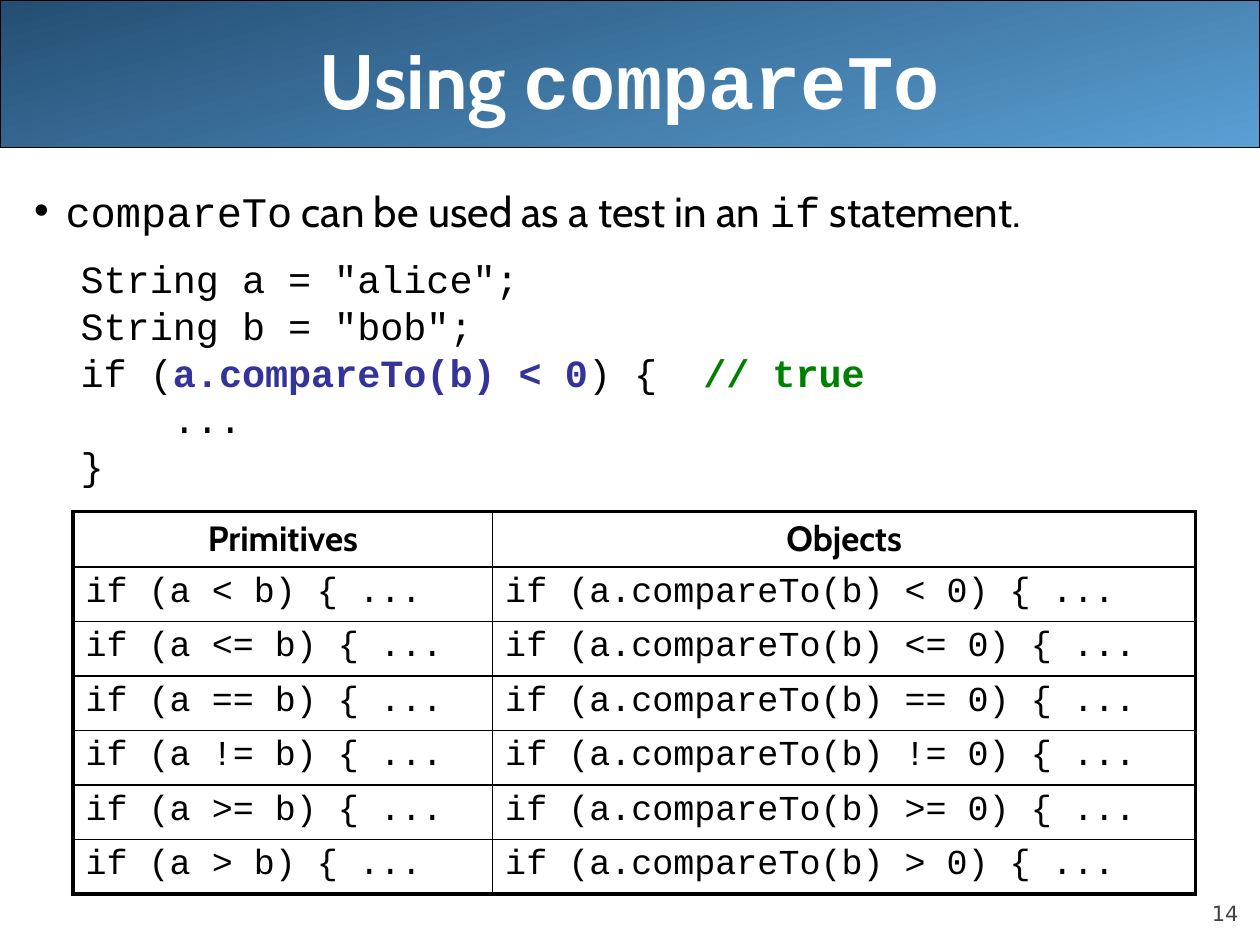
from lxml import etree
from pptx import Presentation
from pptx.dml.color import RGBColor
from pptx.enum import shapes, text
from pptx.oxml.ns import qn
from pptx.util import Inches, Pt

COLORS = {"ink": "000000", "white": "FFFFFF", "dark": "244E72", "light": "5A9FD4",
          "call": "333399", "note": "008000", "gray": "424242"}
SANS, MONO = "Cabin", "Courier New"


def write(para, words, font=MONO, size=22, color="ink", bold=False):
    run = para.add_run()
    run.text = words
    run.font.name, run.font.size, run.font.bold = font, Pt(size), bold
    run.font.color.rgb = RGBColor.from_string(COLORS[color])


def edge(cell, side, width):
    line = etree.SubElement(cell._tc.get_or_add_tcPr(), qn("a:" + side), w=str(Pt(width)))
    fill = etree.SubElement(line, qn("a:solidFill"))
    etree.SubElement(fill, qn("a:srgbClr"), val=COLORS["ink"])


prs = Presentation()
prs.slide_width, prs.slide_height = Inches(10), Inches(7.5)
slide = prs.slides.add_slide(prs.slide_layouts[1])
title, body = slide.placeholders

# Banner behind the title
banner = slide.shapes.add_shape(shapes.MSO_SHAPE.ROUNDED_RECTANGLE, 0, 0, Inches(10), Inches(1.17))
banner.adjustments[0] = 0
banner.shadow.inherit = False
banner.fill.gradient()
banner.fill.gradient_angle = 285
for stop, name in zip(banner.fill.gradient_stops, ("dark", "light")):
    stop.color.rgb = RGBColor.from_string(COLORS[name])
banner.line.color.rgb = RGBColor.from_string(COLORS["ink"])
banner.line.width = Pt(0.75)
slide.shapes._spTree.insert(2, banner._element)

# Title
title.left, title.top, title.width, title.height = Inches(0.5), 0, Inches(9), Inches(1.25)
title.text_frame.auto_size = text.MSO_AUTO_SIZE.NONE
title.text_frame.vertical_anchor = text.MSO_ANCHOR.MIDDLE
para = title.text_frame.paragraphs[0]
para.alignment = text.PP_ALIGN.CENTER
for words, font in (("Using ", SANS), ("compareTo", MONO)):
    write(para, words, font=font, size=44, color="white", bold=True)

# Bullet line
body.left, body.top, body.width, body.height = map(Inches, (0.17, 1.42, 9.83, 5.67))
frame = body.text_frame
frame.auto_size = text.MSO_AUTO_SIZE.NONE
para = frame.paragraphs[0]
props = para._p.get_or_add_pPr()
props.set("marL", str(Inches(0.25)))
props.set("indent", str(Inches(-0.25)))
etree.SubElement(props, qn("a:buChar"), char="•")
para.space_before = Pt(0)
for words, font in (("compareTo", MONO), (" can be used as a test in an ", SANS),
                    ("if", MONO), (" statement.", SANS)):
    write(para, words, font=font, size=24)

# Code lines
code = [
    [("String a = \"alice\";", "ink")],
    [("String b = \"bob\";", "ink")],
    [("if (", "ink"), ("a.compareTo(b) < 0", "call"), (") {  ", "ink"), ("// true", "note")],
    [("    ...", "ink")],
    [("}", "ink")],
]
for row, parts in enumerate(code):
    para = frame.add_paragraph()
    para.level = 1
    props = para._p.get_or_add_pPr()
    props.set("marL", str(Inches(0.37)))
    props.set("indent", "0")
    etree.SubElement(props, qn("a:buNone"))
    para.line_spacing = 0.8
    para.space_before = Pt(5.7 if row else 16)
    for words, color in parts:
        write(para, words, color=color, bold=color != "ink")

# Comparison table
signs = ["<", "<=", "==", "!=", ">=", ">"]
rows = [("Primitives", "Objects")]
rows += [(f"if (a {s} b) {{ ...", f"if (a.compareTo(b) {s} 0) {{ ...") for s in signs]
last = len(rows) - 1
grid = slide.shapes.add_table(len(rows), 2, Inches(0.58), Inches(4.06),
                              Inches(8.92), Inches(3.03)).table
grid.first_row = grid.horz_banding = False
for col, width in zip(grid.columns, (3.33, 5.58)):
    col.width = Inches(width)
for r, row in enumerate(rows):
    for c, words in enumerate(row):
        cell = grid.cell(r, c)
        para = cell.text_frame.paragraphs[0]
        head = r == 0
        para.alignment = text.PP_ALIGN.CENTER if head else text.PP_ALIGN.LEFT
        write(para, words, font=SANS if head else MONO, size=20, bold=head)
        # Thick outer frame, thin inner lines
        for side, outer in (("lnL", c == 0), ("lnR", c == 1), ("lnT", head), ("lnB", r == last)):
            edge(cell, side, 2.25 if outer else 1)
        cell.fill.background()

# Slide number
box = slide.shapes.add_textbox(Inches(9), Inches(6.95), Inches(0.83), Inches(0.4))
frame = box.text_frame
frame.word_wrap = True
frame.margin_left = frame.margin_right = frame.margin_top = frame.margin_bottom = 0
frame.vertical_anchor = text.MSO_ANCHOR.BOTTOM
para = frame.paragraphs[0]
para.alignment = text.PP_ALIGN.RIGHT
write(para, "14", font="DejaVu Sans", size=12, color="gray")

prs.save("out.pptx")
